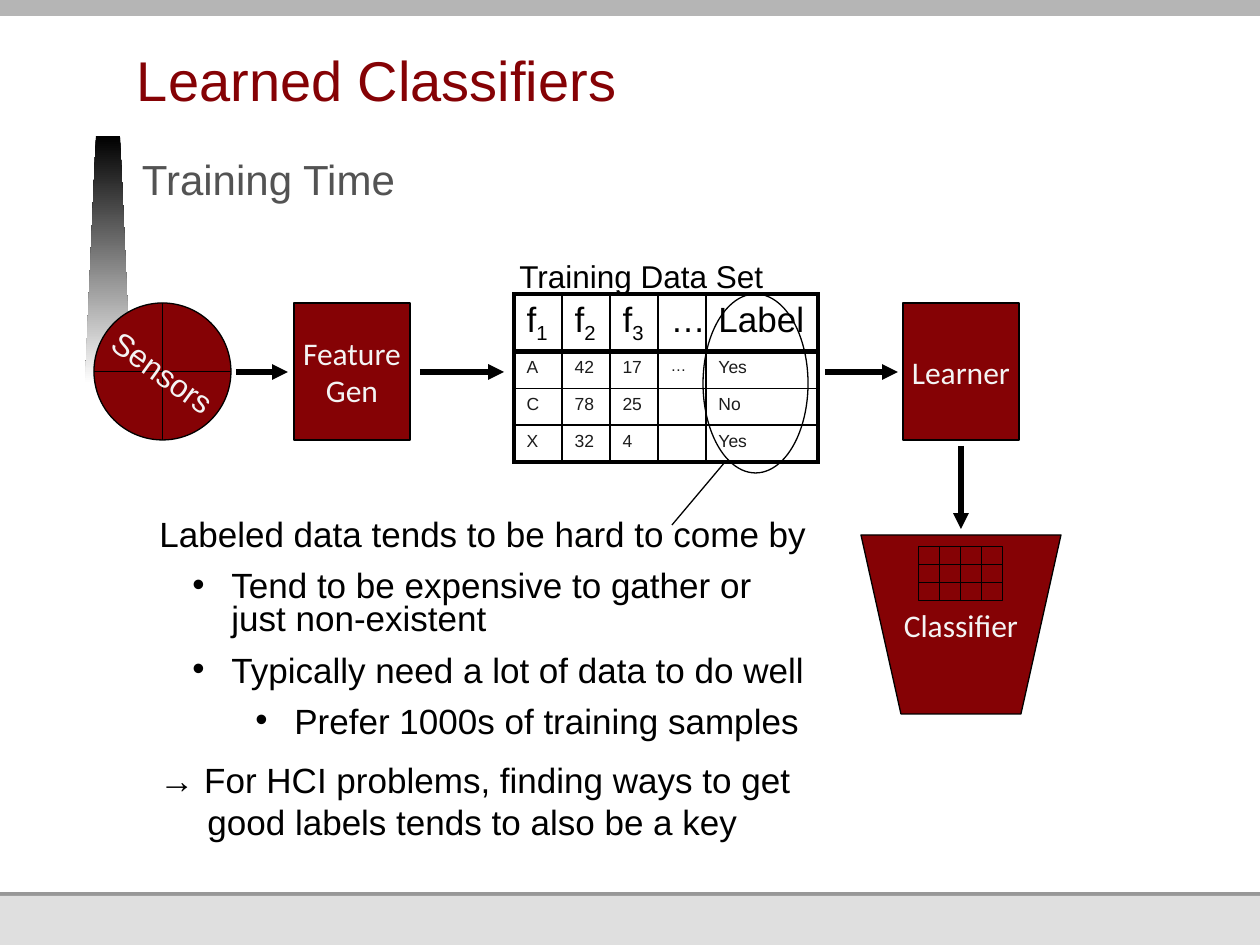
from lxml import etree
from pptx import Presentation
from pptx.dml.color import RGBColor
from pptx.enum.shapes import MSO_CONNECTOR, MSO_SHAPE
from pptx.enum.text import MSO_ANCHOR, PP_ALIGN
from pptx.oxml.ns import qn
from pptx.util import Pt

PX = 914400 / 126
MAROON, BLACK, PALE = "850205", "000000", "F4F4F4"


def emu(*lengths):
    return [round(length * PX) for length in lengths]


def color(hex_text):
    return RGBColor.from_string(hex_text)


deck = Presentation()
deck.slide_width, deck.slide_height = emu(1260, 945)
page = deck.slides.add_slide(deck.slide_layouts[6])

# Header bar, footer rule and footer band
for top, height, fill in [(0, 16, "B5B5B5"), (892, 4, "989898"), (896, 49, "DFDFDF")]:
    bar = page.shapes.add_shape(MSO_SHAPE.RECTANGLE, *emu(0, top, 1260, height))
    bar.shadow.inherit = False
    bar.fill.solid()
    bar.fill.fore_color.rgb = color(fill)
    bar.line.fill.background()

# Fading beam at the left
builder = page.shapes.build_freeform(85, 384, scale=PX)
builder.add_line_segments([(96, 136), (120, 136), (131, 384)], close=True)
beam = builder.convert_to_shape()
beam.shadow.inherit = False
beam.line.fill.background()
beam.fill.gradient()
beam.fill.gradient_angle = 270
for stop, position, shade in zip(beam.fill.gradient_stops, (0, 1), (BLACK, "FFFFFF")):
    stop.position = position
    stop.color.rgb = color(shade)

# Training table
rows = [
    ["f1", "f2", "f3", "…", "Label"],
    ["A", "42", "17", "…", "Yes"],
    ["C", "78", "25", "", "No"],
    ["X", "32", "4", "", "Yes"],
]
column_widths, row_heights = [48, 48, 48, 48, 112], [57, 37, 37, 37]
frame = page.shapes.add_table(4, 5, *emu(514, 294, sum(column_widths), sum(row_heights)))
table = frame.table
table.first_row = table.horz_banding = False
for column, width in zip(table.columns, emu(*column_widths)):
    column.width = width
for row, height in zip(table.rows, emu(*row_heights)):
    row.height = height

for r, texts in enumerate(rows):
    for c, text in enumerate(texts):
        cell = table.cell(r, c)
        borders = {
            "a:lnL": 2.25 if c == 0 else 1,
            "a:lnR": 2.25 if c == 4 else 1,
            "a:lnT": {0: 2.25, 1: 3}.get(r, 1),
            "a:lnB": {0: 3, 3: 2.25}.get(r, 1),
        }
        properties = cell._tc.get_or_add_tcPr()
        for tag, width in borders.items():
            border = etree.SubElement(properties, qn(tag), w=str(Pt(width)))
            solid = etree.SubElement(border, qn("a:solidFill"))
            etree.SubElement(solid, qn("a:srgbClr"), val=BLACK)
        cell.fill.background()
        para = cell.text_frame.paragraphs[0]
        if not text:
            etree.SubElement(para._p, qn("a:endParaRPr"), sz="1000")
            continue
        size = 20 if r == 0 else 9 if text == "…" else 10
        for part in text if text.startswith("f") else [text]:
            span = para.add_run()
            span.text = part
            span.font.name, span.font.size = "Arial", Pt(size)
            span.font.color.rgb = color("1C1C1C" if r else BLACK)
            if r == 0 and part.isdigit():
                span.font._element.set("baseline", "-25000")

# Pipeline blocks, with the classifier grouped with its small grid
classifier = page.shapes.add_group_shape()
blocks = [
    (page, MSO_SHAPE.FLOWCHART_OR, (94, 303, 137, 137), ""),
    (page, MSO_SHAPE.RECTANGLE, (294, 303, 116, 137), "Feature\vGen"),
    (page, MSO_SHAPE.RECTANGLE, (903, 303, 116, 137), "Learner"),
    (classifier, MSO_SHAPE.FLOWCHART_MANUAL_OPERATION, (861, 535, 200, 179), "Classifier"),
]
for parent, preset, place, text in blocks:
    block = parent.shapes.add_shape(preset, *emu(*place))
    block.shadow.inherit = False
    block.fill.solid()
    block.fill.fore_color.rgb = color(MAROON)
    block.line.color.rgb, block.line.width = color(BLACK), Pt(0.75)
    block.text_frame.word_wrap = False
    block.text_frame.vertical_anchor = MSO_ANCHOR.MIDDLE
    para = block.text_frame.paragraphs[0]
    para.text, para.alignment = text, PP_ALIGN.CENTER
    for span in para.runs:
        span.font.name, span.font.size = "Calibri", Pt(18)
        span.font.color.rgb = color(PALE)

# Classifier grid and the ring around the labels
outlines = [
    (classifier, MSO_SHAPE.RECTANGLE, (918 + 21 * c, 546 + 18 * r, 21, 18), 0.25)
    for r in range(3) for c in range(4)
]
outlines.append((page, MSO_SHAPE.OVAL, (703, 294, 105, 179), 0.75))
for parent, preset, place, weight in outlines:
    outline = parent.shapes.add_shape(preset, *emu(*place))
    outline.shadow.inherit = False
    outline.fill.background()
    outline.line.color.rgb, outline.line.width = color(BLACK), Pt(weight)

# Arrows between the stages, and the plain pointer to the label ring
for ends, weight in [
    ((236, 372, 288, 372), 3),
    ((420, 372, 504, 372), 3),
    ((825, 372, 898, 372), 3),
    ((961, 446, 961, 529), 3),
    ((672, 525, 725, 462), 0.75),
]:
    link = page.shapes.add_connector(MSO_CONNECTOR.STRAIGHT, *emu(*ends))
    link.line.color.rgb, link.line.width = color(BLACK), Pt(weight)
    if weight == 3:
        etree.SubElement(link.line._get_or_add_ln(), qn("a:tailEnd"), type="triangle")
    etree.SubElement(link._element.spPr, qn("a:effectLst"))

# Text: place, inset, frame formats, size, colour, paragraphs of
# (text, left margin, first-line indent, bulleted, paragraph formats)
tight = {"line_spacing": 0.8}
spaced = {"line_spacing": 0.8, "space_before": Pt(10)}
texts = [
    ((137, 21, 1120, 98), False, {"vertical_anchor": MSO_ANCHOR.BOTTOM}, 0, 32, MAROON,
     [("Learned Classifiers", 0, 0, False, {"line_spacing": Pt(34)})]),
    ((142, 154, 567, 693), False, {}, 0, 24, "535353",
     [("Training Time", 0, 0, False, {})]),
    ((507, 251, 305, 50), True, {}, 0, 18, BLACK,
     [("Training Data Set", 0, 0, False, {})]),
    ((53, 347, 220, 50), True, {}, 35.9, 18, PALE,
     [("Sensors", 0, 0, False, {"alignment": PP_ALIGN.CENTER})]),
    ((147, 514, 714, 408), True, {}, 0, 20, BLACK, [
        ("Labeled data tends to be hard to come by", 0, 0, False, tight),
        ("Tend to be expensive to gather or\vjust non-existent", 72, -39, True, spaced),
        ("Typically need a lot of data to do well", 72, -39, True, spaced),
        ("Prefer 1000s of training samples", 135, -39, True, spaced),
        ("→ For HCI problems, finding ways to get\vgood labels tends to also be a key",
         48, -48, False, {"space_before": Pt(10)}),
    ]),
]
for place, inset, frame_formats, rotation, size, ink, lines in texts:
    box = page.shapes.add_textbox(*emu(*place))
    box.rotation = rotation
    frame = box.text_frame
    frame.word_wrap = True
    if not inset:
        frame.margin_left = frame.margin_top = frame.margin_right = 0
    for name, value in frame_formats.items():
        setattr(frame, name, value)
    for number, (text, margin, indent, bulleted, formats) in enumerate(lines):
        para = frame.add_paragraph() if number else frame.paragraphs[0]
        para.text = text
        properties = para._p.get_or_add_pPr()
        for name, length in zip(("marL", "indent"), emu(margin, indent)):
            properties.set(name, str(length))
        if bulleted:
            etree.SubElement(properties, qn("a:buFont"), typeface="Arial")
            etree.SubElement(properties, qn("a:buChar"), char="•")
        for name, value in formats.items():
            setattr(para, name, value)
        for span in para.runs:
            span.font.name, span.font.size = "Arial", Pt(size)
            span.font.color.rgb = color(ink)

deck.save("out.pptx")
